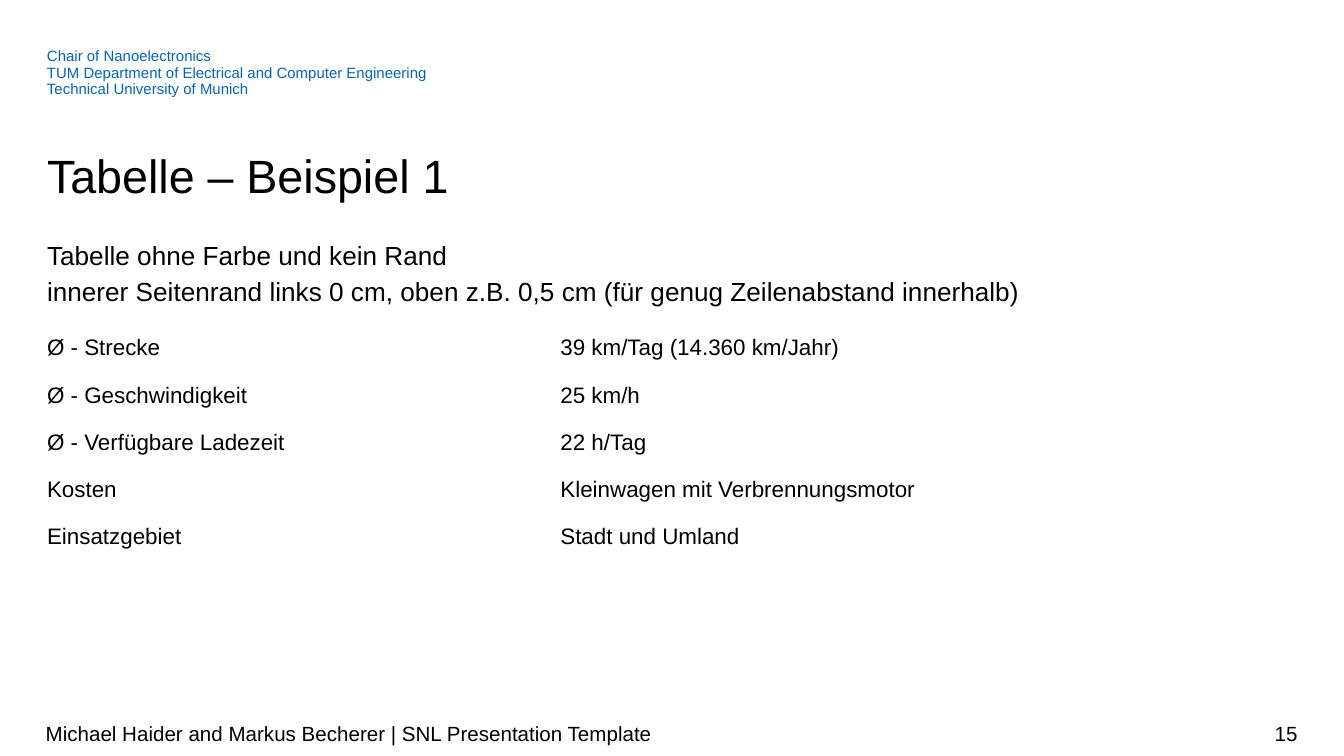
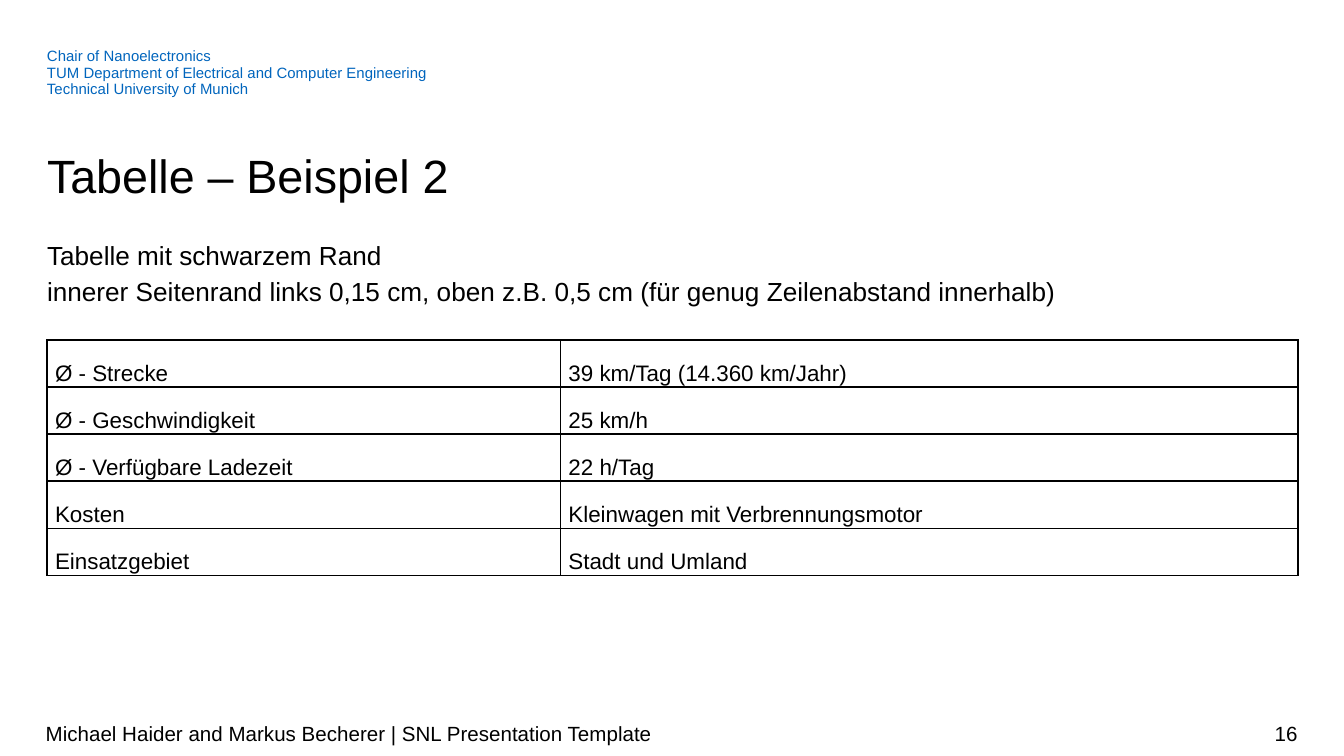
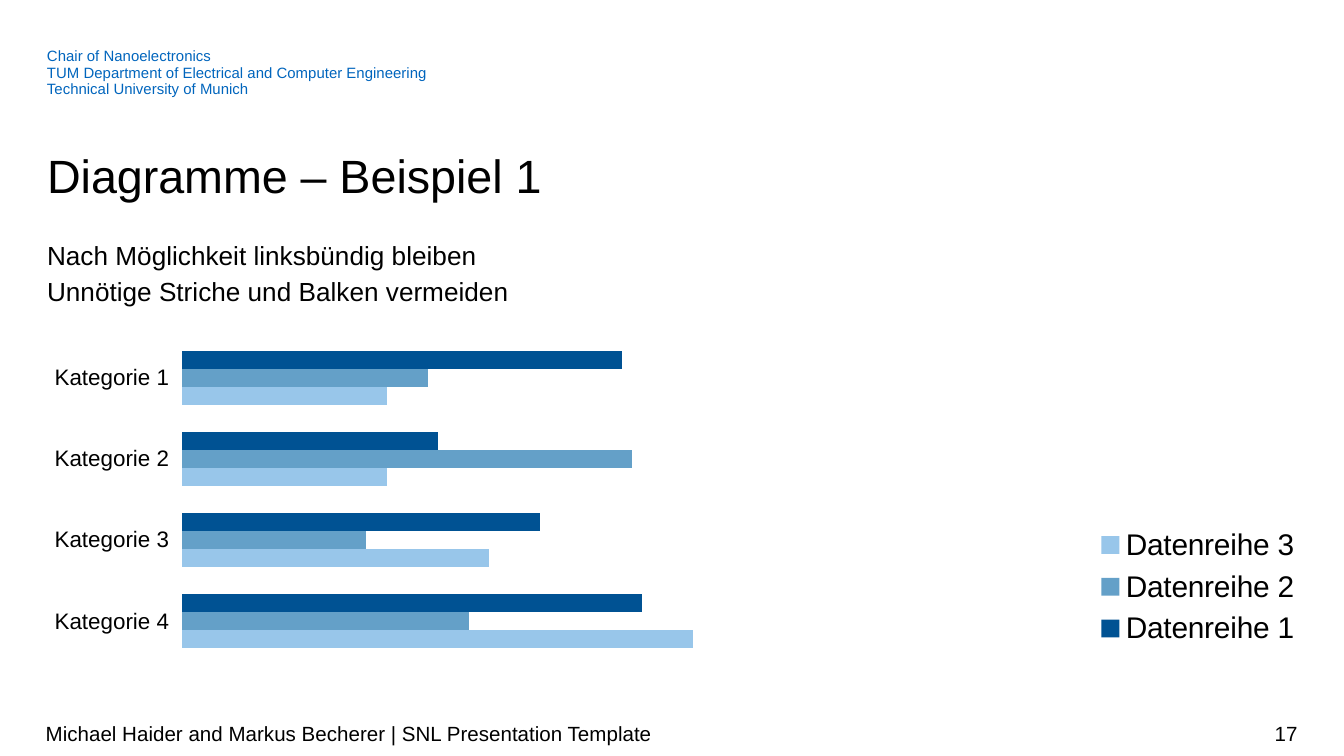
"""Build three template slides: two tables and a bar chart."""
from copy import deepcopy

from lxml.etree import SubElement
from pptx import Presentation
from pptx.chart.data import CategoryChartData
from pptx.dml.color import RGBColor
from pptx.enum.chart import XL_CHART_TYPE, XL_LEGEND_POSITION, XL_TICK_MARK
from pptx.enum.text import MSO_ANCHOR, MSO_AUTO_SIZE, PP_ALIGN
from pptx.oxml.ns import qn
from pptx.util import Inches, Pt

COLUMNS = 100
FONT = "Arial"
BLACK, BLUE = "000000", "0065BD"
SERIES_BLUES = ["005293", "64A0C8", "98C6EA"]
PLAIN_TABLE = "{2D5ABB26-0587-4C30-8999-92F81FD0307C}"
MARGIN, CONTENT_WIDTH = 3.5, 93.1
CHAIR = ("Chair of Nanoelectronics",
         "TUM Department of Electrical and Computer Engineering",
         "Technical University of Munich")
FOOTER = "Michael Haider and Markus Becherer | SNL Presentation Template"
FIRST_PAGE = 15

VEHICLE = [
    ("Ø - Strecke", "39 km/Tag (14.360 km/Jahr)"),
    ("Ø - Geschwindigkeit", "25 km/h"),
    ("Ø - Verfügbare Ladezeit", "22 h/Tag"),
    ("Kosten", "Kleinwagen mit Verbrennungsmotor"),
    ("Einsatzgebiet", "Stadt und Umland"),
]
CATEGORIES = [f"Kategorie {number}" for number in range(1, 5)]
SERIES = {
    "Datenreihe 1": (86, 50, 70, 90),
    "Datenreihe 2": (48, 88, 36, 56),
    "Datenreihe 3": (40, 40, 60, 100),
}


def rgb(color):
    """Turn a hex string into a colour."""
    return RGBColor.from_string(color)


def style_font(font, size, color=BLACK):
    """Set typeface, size and colour of a font."""
    font.name, font.size, font.bold = FONT, Pt(size), False
    font.color.rgb = rgb(color)


def write(frame, *paragraphs, size, color=BLACK, align=PP_ALIGN.LEFT, spacing=1.0,
          anchor=None, insets=(0, 0, 0, 0), grow=False):
    """Fill a text frame with paragraphs in one format; newlines break lines."""
    frame.word_wrap = True
    frame.auto_size = MSO_AUTO_SIZE.SHAPE_TO_FIT_TEXT if grow else MSO_AUTO_SIZE.NONE
    frame.vertical_anchor = anchor or MSO_ANCHOR.TOP
    frame.margin_left, frame.margin_top, frame.margin_right, frame.margin_bottom = map(Inches, insets)
    for index, text in enumerate(paragraphs):
        paragraph = frame.add_paragraph() if index else frame.paragraphs[0]
        paragraph.text = text
        paragraph.alignment, paragraph.line_spacing = align, spacing
        paragraph.space_before = paragraph.space_after = Pt(0)
        for run in paragraph.runs:
            style_font(run.font, size, color)
        for line_break in paragraph._p.findall(qn("a:br")):
            line_break.append(deepcopy(paragraph.runs[0]._r.rPr))


def border(cell, color, width):
    """Draw all four edges of a table cell."""
    properties = cell._tc.get_or_add_tcPr()
    for edge in ("a:lnL", "a:lnR", "a:lnT", "a:lnB"):
        line = SubElement(properties, qn(edge), w=str(Pt(width)))
        fill = SubElement(line, qn("a:solidFill"))
        SubElement(fill, qn("a:srgbClr"), val=color)


def pin(part, index, x, y, w, h, inner=False):
    """Fix a chart part at shares of the chart's size."""
    for old in part.findall(qn("c:layout")):
        part.remove(old)
    layout = SubElement(part, qn("c:layout"))
    part.insert(index, layout)
    manual = SubElement(layout, qn("c:manualLayout"))
    settings = [("layoutTarget", "inner")] if inner else []
    settings += [("xMode", "edge"), ("yMode", "edge"), ("x", x), ("y", y), ("w", w), ("h", h)]
    for tag, value in settings:
        SubElement(manual, qn(f"c:{tag}"), val=str(value))


class Deck:
    """Hold the shared style and the current slide, on a grid of square cells."""

    def __init__(self):
        """Open an empty widescreen presentation."""
        self.presentation = Presentation()
        self.presentation.slide_width = Inches(10)
        self.presentation.slide_height = Inches(10) * 9 // 16
        self.cell = self.presentation.slide_width / COLUMNS
        self.slide = None

    def grid(self, *cells):
        """Turn grid cells into lengths."""
        return [round(count * self.cell) for count in cells]

    def text(self, left, top, width, height, *paragraphs, **style):
        """Add a text box."""
        box = self.slide.shapes.add_textbox(*self.grid(left, top, width, height))
        write(box.text_frame, *paragraphs, **style)

    def fill_placeholder(self, placeholder, top, height, text, **style):
        """Move a placeholder to the content margin and write in it."""
        placeholder.left, placeholder.top, placeholder.width, placeholder.height = self.grid(
            MARGIN, top, CONTENT_WIDTH, height)
        write(placeholder.text_frame, text, **style)

    def page(self, title, lead):
        """Start a slide with header, title, lead text and footer."""
        self.slide = self.presentation.slides.add_slide(self.presentation.slide_layouts[1])
        heading, body = self.slide.placeholders
        self.text(MARGIN, 3.53, 78.3, 3.8, *CHAIR, size=8, color=BLUE, spacing=Pt(9), grow=True)
        self.fill_placeholder(heading, 10.64, 4.5, title, size=25, spacing=Pt(32), grow=True)
        self.fill_placeholder(body, 17.5, 5.5, lead, size=14, spacing=1.14)
        properties = body.text_frame.paragraphs[0]._p.get_or_add_pPr()
        properties.set("marL", "0")
        properties.set("indent", "0")
        SubElement(properties, qn("a:buNone"))
        footer = dict(size=11, anchor=MSO_ANCHOR.MIDDLE, insets=(0, 0.05, 0, 0.05))
        number = FIRST_PAGE + len(self.presentation.slides) - 1
        self.text(3.4, 53.1, 70.7, 3, FOOTER, **footer)
        self.text(74.1, 53.1, 22.45, 3, str(number), align=PP_ALIGN.RIGHT, **footer)

    def table(self, top, rows, inset=0, line=None):
        """Add a two-column table without fill, with edges if a line colour is given."""
        widths, row_height = (38.2, 54.9), 3.48
        frame = self.slide.shapes.add_table(len(rows), len(widths), *self.grid(
            MARGIN, top, CONTENT_WIDTH, row_height * len(rows)))
        table = frame.table
        table.first_row = table.horz_banding = False
        table._tbl.tblPr.find(qn("a:tableStyleId")).text = PLAIN_TABLE
        for column, width in zip(table.columns, self.grid(*widths)):
            column.width = width
        for row, texts in zip(table.rows, rows):
            for cell, text in zip(row.cells, texts):
                write(cell.text_frame, text, size=12)
                cell.vertical_anchor = MSO_ANCHOR.MIDDLE
                cell.margin_left, cell.margin_top = Inches(inset), Inches(0.15)
                cell.margin_right = cell.margin_bottom = 0
                if line:
                    border(cell, line, 1)
                cell.fill.background()

    def bars(self, left, top, width, height, categories, series):
        """Add a clustered bar chart without grid lines or value axis."""
        data = CategoryChartData()
        data.categories = categories
        for name, values in series.items():
            data.add_series(name, values)
        chart = self.slide.shapes.add_chart(
            XL_CHART_TYPE.BAR_CLUSTERED, *self.grid(left, top, width, height), data).chart
        style_font(chart.font, 16)
        chart.has_title = False
        plot = chart.plots[0]
        plot.gap_width, plot.overlap, plot.vary_by_categories = 150, 0, False
        for bar, color in zip(plot.series, SERIES_BLUES):
            bar.format.fill.solid()
            bar.format.fill.fore_color.rgb = rgb(color)
        names, scale = chart.category_axis, chart.value_axis
        style_font(names.tick_labels.font, 12)
        names.reverse_order = True
        names.major_tick_mark = XL_TICK_MARK.OUTSIDE
        names.format.line.fill.background()
        scale.visible = scale.has_major_gridlines = False
        scale.minimum_scale, scale.maximum_scale = 0, 120
        chart.has_legend = True
        chart.legend.position = XL_LEGEND_POSITION.RIGHT
        chart.legend.include_in_layout = False
        pin(chart.legend._element, 1, 0.81, 0.53, 0.16, 0.39)
        pin(plot._element.getparent(), 0, 0.125, 0.003, 0.462, 0.94, inner=True)


deck = Deck()
deck.page("Tabelle – Beispiel 1",
          "Tabelle ohne Farbe und kein Rand\n"
          "innerer Seitenrand links 0 cm, oben z.B. 0,5 cm (für genug Zeilenabstand innerhalb)")
deck.table(23.4, VEHICLE)

deck.page("Tabelle – Beispiel 2",
          "Tabelle mit schwarzem Rand\n"
          "innerer Seitenrand links 0,15 cm, oben z.B. 0,5 cm (für genug Zeilenabstand innerhalb)")
deck.table(25.3, VEHICLE, inset=0.06, line=BLACK)

deck.page("Diagramme – Beispiel 1",
          "Nach Möglichkeit linksbündig bleiben\nUnnötige Striche und Balken vermeiden")
deck.bars(1.23, 25.03, 98.77, 25.7, CATEGORIES, SERIES)

deck.presentation.save("out.pptx")
